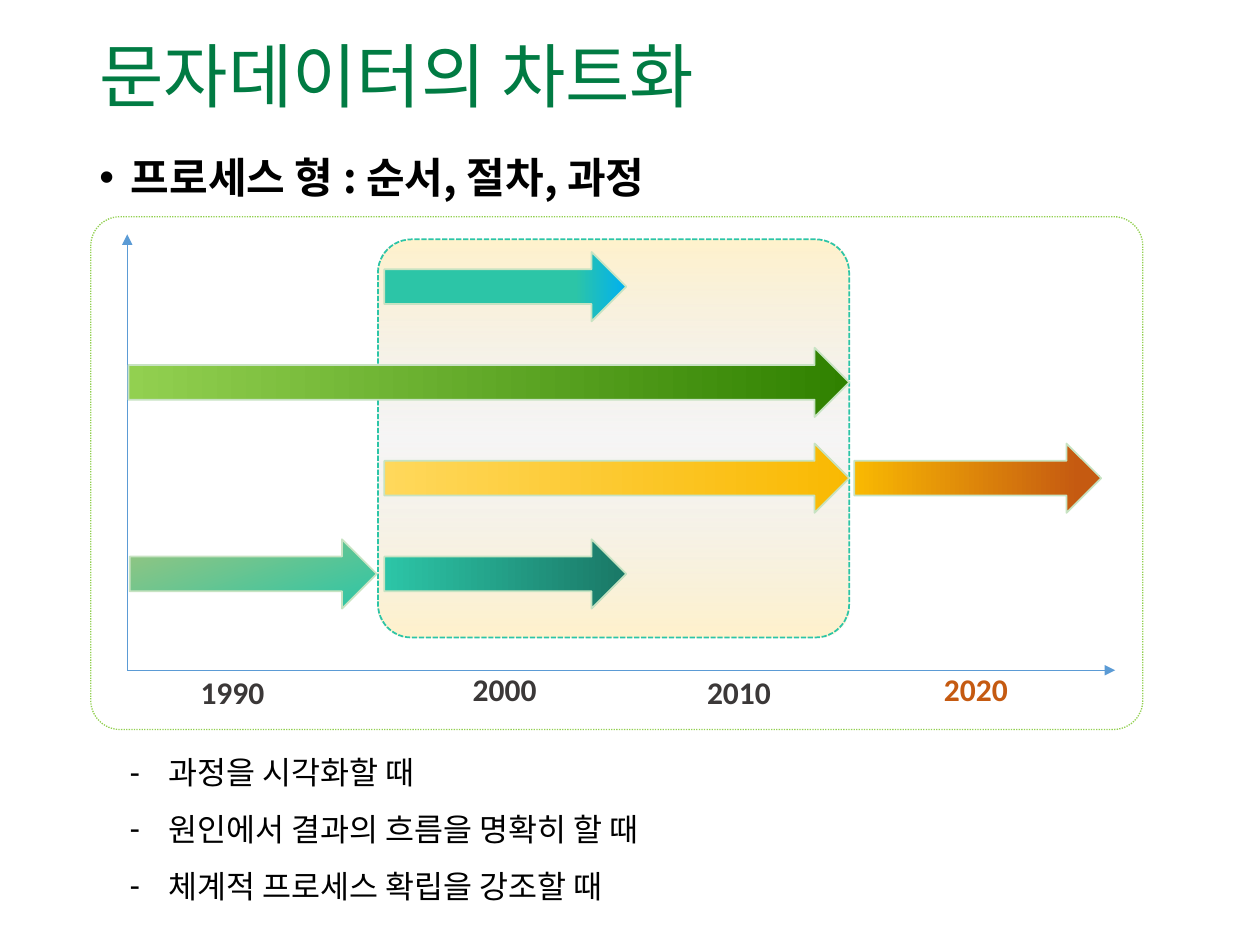
from lxml import etree
from pptx import Presentation
from pptx.dml.color import RGBColor
from pptx.enum.dml import MSO_LINE
from pptx.enum.shapes import MSO_CONNECTOR, MSO_SHAPE
from pptx.enum.text import MSO_ANCHOR, PP_ALIGN
from pptx.oxml.ns import qn
from pptx.util import Inches, Pt

KOREAN, LATIN = "Noto Sans CJK KR", "Calibri"
TITLE_GREEN = RGBColor(0x01, 0x7B, 0x43)
BLACK = RGBColor(0, 0, 0)
WHITE = RGBColor(0xFF, 0xFF, 0xFF)
CHARCOAL = RGBColor(0x3B, 0x38, 0x38)
LIME = RGBColor(0x92, 0xD0, 0x50)
DARK_GREEN = RGBColor(0x30, 0x81, 0x00)
SAGE = RGBColor(0x99, 0xC5, 0x7F)
TEAL = RGBColor(0x2C, 0xC5, 0xA7)
DARK_TEAL = RGBColor(0x1A, 0x78, 0x66)
SKY = RGBColor(0x00, 0xB0, 0xF0)
YELLOW = RGBColor(0xFF, 0xD8, 0x5B)
AMBER = RGBColor(0xF9, 0xB9, 0x02)
RUST = RGBColor(0xC5, 0x5A, 0x11)
CREAM = RGBColor(0xFF, 0xF2, 0xCC)
GREY = RGBColor(0xE7, 0xE6, 0xE6)
AXIS_BLUE = RGBColor(0x5B, 0x9B, 0xD5)
PALE_GREEN = RGBColor(0xC7, 0xE3, 0xC2)


def set_gradient(s, stops, angle):
    """Fill with (position %, colour, opacity %) stops, angle clockwise."""
    s.fill.gradient()
    grad = s._element.spPr.find(qn("a:gradFill"))
    for child in list(grad):
        grad.remove(child)
    gs_list = etree.SubElement(grad, qn("a:gsLst"))
    for pos, color, opacity in stops:
        gs = etree.SubElement(gs_list, qn("a:gs"), pos=str(pos * 1000))
        clr = etree.SubElement(gs, qn("a:srgbClr"), val=str(color))
        if opacity < 100:
            etree.SubElement(clr, qn("a:alpha"), val=str(opacity * 1000))
    etree.SubElement(grad, qn("a:lin"), ang=str(angle * 60000), scaled="0")


def add_outlined(slide, kind, box, color, width, dash=None):
    s = slide.shapes.add_shape(kind, *map(Inches, box))
    s.shadow.inherit = False
    s.line.color.rgb = color
    s.line.width = Pt(width)
    if dash:
        s.line.dash_style = dash
    return s


def add_run(p, text, size, font, color, bold=False):
    r = p.add_run()
    r.text = text
    r.font.size, r.font.name, r.font.bold = Pt(size), font, bold
    r.font.color.rgb = color
    if font == KOREAN:
        etree.SubElement(r._r.get_or_add_rPr(), qn("a:ea"), typeface=font)


def add_bullet(p, char, indent):
    pPr = p._p.get_or_add_pPr()
    pPr.set("marL", str(Inches(indent)))
    pPr.set("indent", str(-Inches(indent)))
    etree.SubElement(pPr, qn("a:buFont"), typeface="Arial")
    etree.SubElement(pPr, qn("a:buChar"), char=char)


def add_text_box(slide, box):
    tf = slide.shapes.add_textbox(*map(Inches, box)).text_frame
    tf.word_wrap = True
    return tf


def add_title(slide, box, text):
    s = slide.shapes.title
    s.left, s.top, s.width, s.height = map(Inches, box)
    tf = s.text_frame
    tf.vertical_anchor = MSO_ANCHOR.MIDDLE
    p = tf.paragraphs[0]
    p.alignment, p.line_spacing = PP_ALIGN.LEFT, 0.9
    add_run(p, text, 40, KOREAN, TITLE_GREEN)


def add_heading(slide, box, text):
    p = add_text_box(slide, box).paragraphs[0]
    p.line_spacing, p.space_before, p.space_after = 0.9, Pt(10), Pt(6)
    add_bullet(p, "•", 0.25)
    add_run(p, text, 24, KOREAN, BLACK, True)


def add_uses(slide, box, items):
    tf = add_text_box(slide, box)
    for i, item in enumerate(items):
        p = tf.add_paragraph() if i else tf.paragraphs[0]
        p.line_spacing = 1.5
        add_bullet(p, "-", 0.31)
        add_run(p, item, 18, LATIN, BLACK)


def add_axis(slide, start, end):
    c = slide.shapes.add_connector(MSO_CONNECTOR.STRAIGHT, *map(Inches, start + end))
    c.line.color.rgb = AXIS_BLUE
    c.line.width = Pt(0.5)
    etree.SubElement(c.line._get_or_add_ln(), qn("a:tailEnd"), type="triangle")
    etree.SubElement(c._element.spPr, qn("a:effectLst"))


def add_timeline(slide, box):
    x, y, w, h = box
    # Frame and highlighted period
    frame = add_outlined(slide, MSO_SHAPE.ROUNDED_RECTANGLE, box, LIME, 0.75,
                         MSO_LINE.ROUND_DOT)
    frame.adjustments[0] = 0.057
    frame.fill.solid()
    frame.fill.fore_color.rgb = WHITE
    period = add_outlined(slide, MSO_SHAPE.ROUNDED_RECTANGLE,
                          (x + 2.28, y + 0.18, 3.74, 3.16), TEAL, 1, MSO_LINE.DASH)
    period._element.spPr.find(qn("a:ln")).find(qn("a:prstDash")).set("val", "sysDash")
    period.adjustments[0] = 0.084
    set_gradient(period, [(0, CREAM, 100), (50, GREY, 37), (100, CREAM, 100)], 90)

    # Axes
    origin = (x + 0.29, y + 3.6)
    add_axis(slide, origin, (x + 0.29, y + 0.14))
    add_axis(slide, origin, (x + 8.13, y + 3.6))

    # Process arrows: row, left, width, start, end, start position, end position, angle
    arrows = [
        (3, 0.31, 1.96, SAGE, TEAL, 0, 100, 70),
        (3, 2.33, 1.92, TEAL, DARK_TEAL, 0, 100, 0),
        (2, 2.33, 3.69, YELLOW, AMBER, 0, 100, 0),
        (2, 6.06, 1.96, AMBER, RUST, 0, 91, 0),
        (1, 0.30, 5.72, LIME, DARK_GREEN, 0, 100, 0),
        (0, 2.33, 1.92, TEAL, SKY, 79, 100, 0),
    ]
    for row, left, width, start, end, first, last, angle in arrows:
        s = add_outlined(slide, MSO_SHAPE.RIGHT_ARROW,
                         (x + left, y + 0.28 + 0.76 * row, width, 0.55), PALE_GREEN, 1)
        set_gradient(s, [(first, start, 100), (last, end, 100)], angle)

    # Year labels
    for year, left, top, color in [("1990", 0.72, 3.57, CHARCOAL),
                                   ("2000", 2.88, 3.55, CHARCOAL),
                                   ("2010", 4.74, 3.57, CHARCOAL),
                                   ("2020", 6.62, 3.55, RUST)]:
        p = add_text_box(slide, (x + left, y + top, 0.81, 0.4)).paragraphs[0]
        p.alignment = PP_ALIGN.CENTER
        add_run(p, year, 18, LATIN, color, True)


prs = Presentation()
prs.slide_width, prs.slide_height = Inches(10), Inches(7.5)
slide = prs.slides.add_slide(prs.slide_layouts[5])
add_title(slide, (0.69, 0, 8.62, 1.26), "문자데이터의 차트화")
add_timeline(slide, (0.72, 1.72, 8.35, 4.07))
add_heading(slide, (0.69, 1.2, 8.62, 0.5), "프로세스 형 : 순서, 절차, 과정")
add_uses(slide, (0.93, 5.78, 5, 1.46), ["과정을 시각화할 때",
                                        "원인에서 결과의 흐름을 명확히 할 때",
                                        "체계적 프로세스 확립을 강조할 때"])
prs.save("out.pptx")
